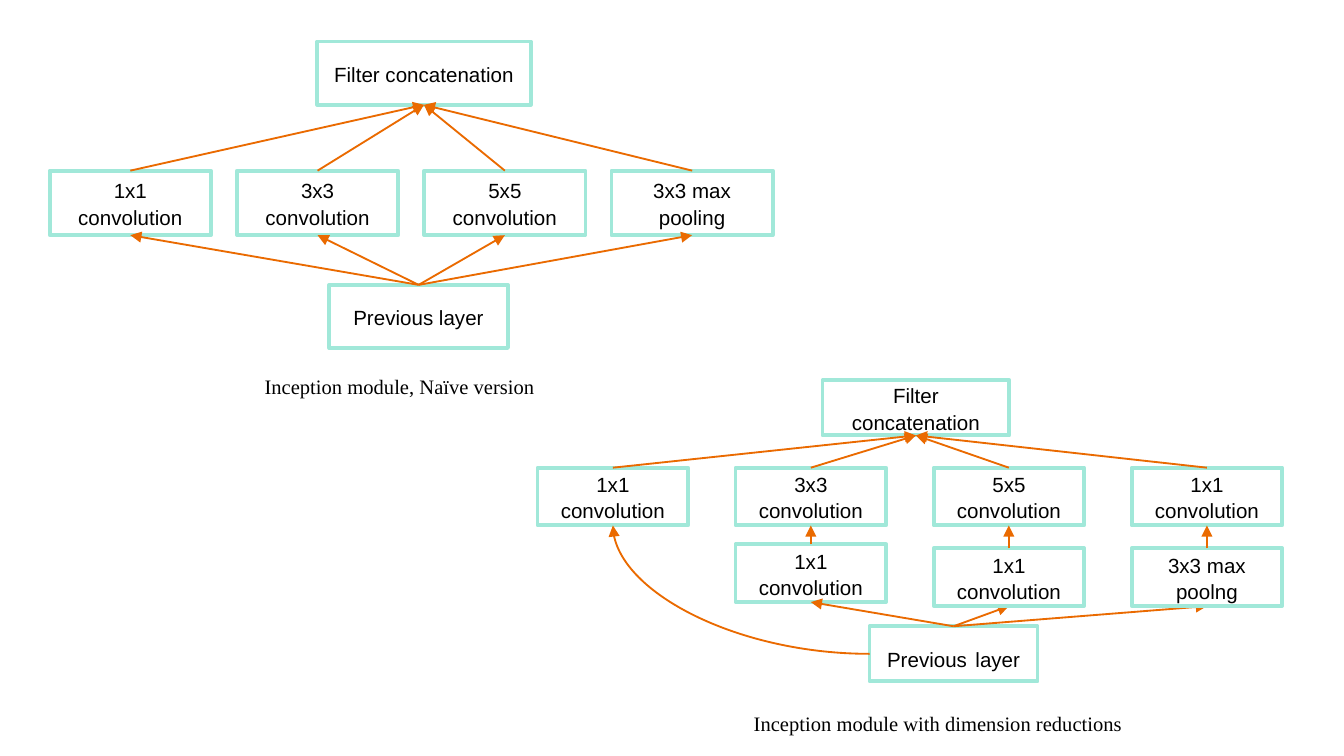
import pptx
import pptx.dml.color
import pptx.enum.shapes
import pptx.enum.text
import pptx.oxml.ns
import pptx.util
from lxml import etree

Inches = pptx.util.Inches
Pt = pptx.util.Pt
qn = pptx.oxml.ns.qn
Align = pptx.enum.text.PP_ALIGN
Connector = pptx.enum.shapes.MSO_CONNECTOR

COLORS = {"fill": "FFFFFF", "border": "A1E8D9", "arrow": "EA6A00", "text": "000000"}


def color(name):
    return pptx.dml.color.RGBColor.from_string(COLORS[name])


def style_font(font, name):
    font.name = name
    font.size = Pt(11)
    font.color.rgb = color("text")


def spread(first, last, count):
    """Return count evenly spaced positions from first to last."""
    return [first + (last - first) * index / (count - 1) for index in range(count)]


def add_box(group, left, top, width, height, *words):
    """Add a bordered layer box; each of the words becomes a run."""
    box = group.shapes.add_shape(
        pptx.enum.shapes.MSO_SHAPE.RECTANGLE,
        Inches(left), Inches(top), Inches(width), Inches(height))
    box.shadow.inherit = False
    box.fill.solid()
    box.fill.fore_color.rgb = color("fill")
    box.line.color.rgb = color("border")
    box.line.width = Pt(2)
    box.text_frame.vertical_anchor = pptx.enum.text.MSO_ANCHOR.MIDDLE
    para = box.text_frame.paragraphs[0]
    para.alignment = Align.CENTER
    para.line_spacing = 1.07
    para.space_after = Pt(8)
    style_font(para.font, "Arial")
    for word in words:
        para.add_run().text = word
    return box


def middle(box):
    return box.left + box.width // 2


def top_of(box):
    return middle(box), box.top


def bottom_of(box):
    return middle(box), box.top + box.height


def style_arrow(arrow, width):
    arrow.line.color.rgb = color("arrow")
    arrow.line.width = Pt(width)
    properties = arrow._element.spPr
    etree.SubElement(properties.find(qn("a:ln")), qn("a:tailEnd"), type="triangle")
    etree.SubElement(properties, qn("a:effectLst"))


def add_arrow(group, start, end, width=1):
    arrow = group.shapes.add_connector(Connector.STRAIGHT, *start, *end)
    style_arrow(arrow, width)


def add_curved_arrow(group, start, end):
    """Add an arrow that leaves start to the left and rises into end."""
    arrow = group.shapes.add_connector(Connector.CURVE, *end, *start)
    arrow.rotation = 180
    arrow._element.spPr.find(qn("a:prstGeom")).set("prst", "curvedConnector2")
    arrow._element.spPr.find(qn("a:xfrm")).set("rot", str(180 * 60000))
    style_arrow(arrow, 1)


def add_caption(page, left, top, width, height, text):
    box = page.shapes.add_textbox(
        Inches(left), Inches(top), Inches(width), Inches(height))
    box.text_frame.word_wrap = True
    para = box.text_frame.paragraphs[0]
    para.text = text
    style_font(para.font, "Times New Roman")
    return para


def add_naive_module(page):
    group = page.shapes.add_group_shape()
    output = add_box(group, 2.36, 0.31, 1.59, 0.47, "Filter concatenation")
    source = add_box(group, 2.45, 2.12, 1.33, 0.47, "Previous layer")
    labels = ["1x1 convolution", "3x3 convolution", "5x5 convolution", "3x3 max pooling"]
    branches = [add_box(group, left, 1.27, 1.2, 0.48, label)
                for left, label in zip(spread(0.37, 4.55, 4), labels)]
    for branch in branches:
        add_arrow(group, top_of(branch), bottom_of(output))
        add_arrow(group, top_of(source), bottom_of(branch))


def add_reduced_module(page):
    group = page.shapes.add_group_shape()
    output = add_box(group, 6.12, 2.83, 1.39, 0.41, "Filter concatenation")
    source = add_box(group, 6.47, 4.66, 1.25, 0.41, "Previous", " ", "layer")
    source.text_frame.paragraphs[0].runs[1].font.size = Pt(16)

    columns = spread(4, 8.42, 4)
    labels = ["1x1 convolution", "3x3 convolution", "5x5 convolution", "1x1 convolution"]
    branches = [add_box(group, left, 3.48, 1.12, 0.43, label)
                for left, label in zip(columns, labels)]
    for branch in branches:
        add_arrow(group, top_of(branch), bottom_of(output))
    add_curved_arrow(group, (source.left, source.top + source.height // 2),
                     bottom_of(branches[0]))

    # The two right-hand reducers cover the tips of their incoming arrows.
    for branch in branches[2:]:
        add_arrow(group, top_of(source), (middle(branch), Inches(4.51)))
    reducers = [add_box(group, left, top, 1.12, 0.43, label)
                for left, top, label in zip(
                    columns[1:], [4.05, 4.08, 4.08],
                    ["1x1 convolution", "1x1 convolution", "3x3 max poolng"])]
    add_arrow(group, top_of(source), bottom_of(reducers[0]))
    for reducer, branch in zip(reducers, branches[1:]):
        add_arrow(group, top_of(reducer), bottom_of(branch), 0.75)


def main():
    deck = pptx.Presentation()
    deck.slide_width = Inches(10)
    deck.slide_height = deck.slide_width * 9 // 16
    page = deck.slides.add_slide(deck.slide_layouts[6])
    add_naive_module(page)
    add_reduced_module(page)
    para = add_caption(page, 0.87, 2.71, 3.68, 0.61, "Inception module, Naïve version")
    para.alignment = Align.JUSTIFY
    para.line_spacing = 1.15
    para.space_after = Pt(8)
    para._p.get_or_add_pPr().set("marL", str(Inches(1)))
    add_caption(page, 5.51, 5.24, 3.34, 0.47, "Inception module with dimension reductions")
    deck.save("out.pptx")


if __name__ == "__main__":
    main()
